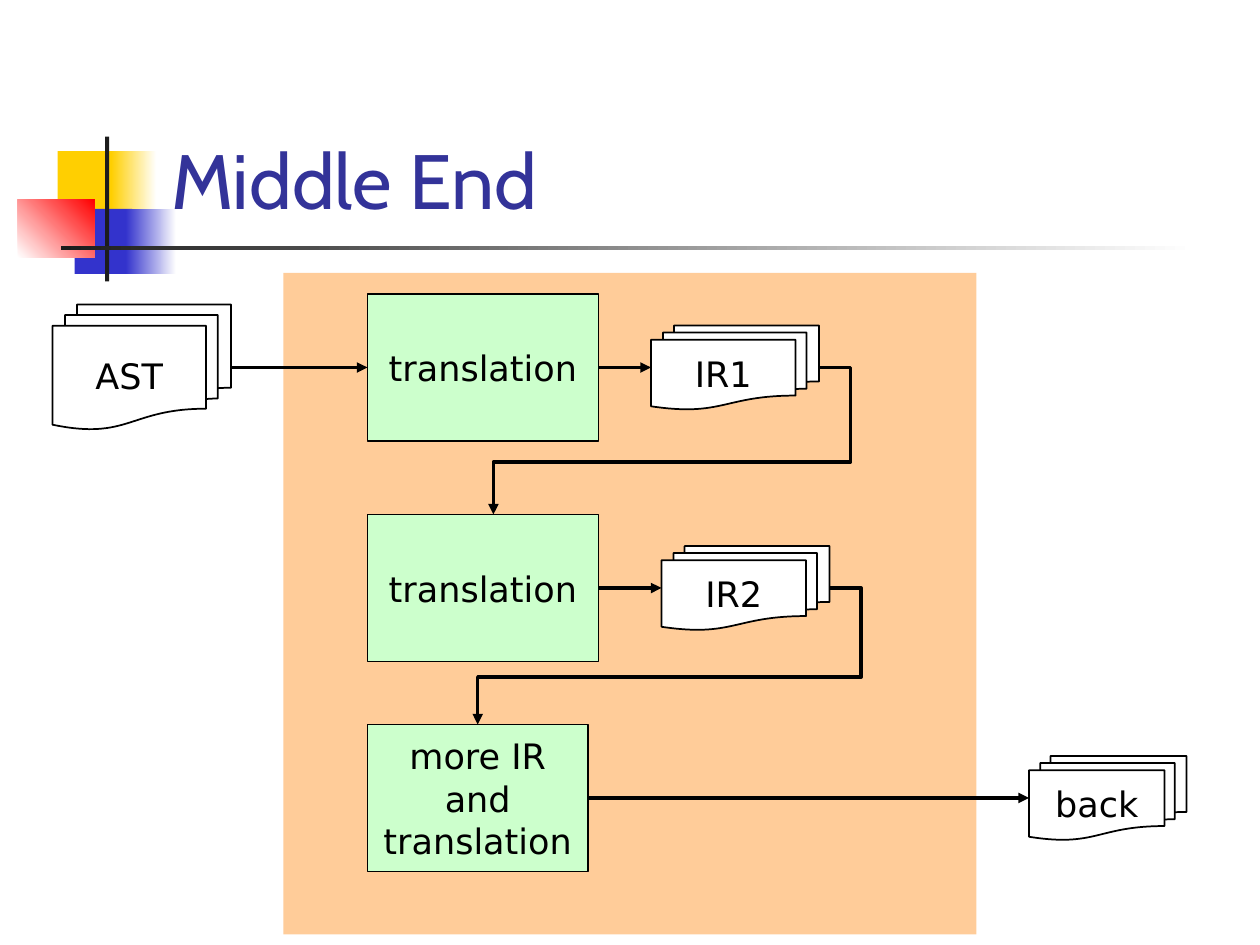
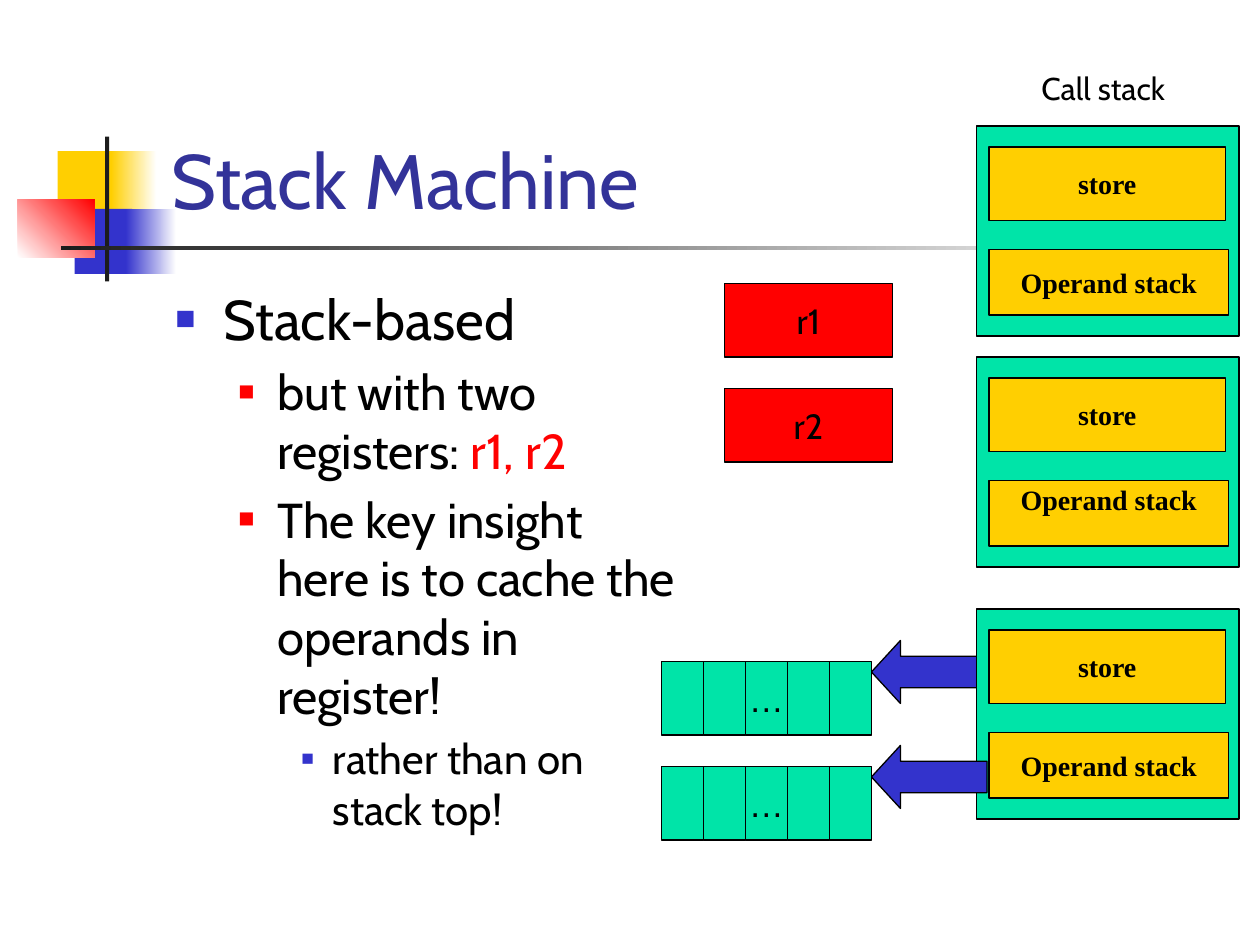
from dataclasses import dataclass

from lxml import etree
from pptx import Presentation
from pptx.dml.color import RGBColor
from pptx.enum.shapes import MSO_CONNECTOR, MSO_SHAPE
from pptx.enum.text import MSO_ANCHOR, MSO_AUTO_SIZE, PP_ALIGN
from pptx.oxml.ns import qn
from pptx.util import Emu, Inches, Pt

RECT = MSO_SHAPE.RECTANGLE
PROCESS = MSO_SHAPE.FLOWCHART_PROCESS
DOCUMENTS = MSO_SHAPE.FLOWCHART_MULTIDOCUMENT
LEFT_ARROW = MSO_SHAPE.LEFT_ARROW
STRAIGHT, ELBOW = MSO_CONNECTOR.STRAIGHT, MSO_CONNECTOR.ELBOW
TOP, MIDDLE, BOTTOM = MSO_ANCHOR.TOP, MSO_ANCHOR.MIDDLE, MSO_ANCHOR.BOTTOM
LEFT, CENTER = PP_ALIGN.LEFT, PP_ALIGN.CENTER
NO_FIT = MSO_AUTO_SIZE.NONE
LEFT_SIDE, RIGHT_SIDE = 1, 3  # connection sites of a rectangle

# The slide is a grid of 120 columns by 90 rows, twelve to the inch
COLUMNS, ROWS = 120, 90
CELL = Inches(10) // COLUMNS


@dataclass(frozen=True)
class Theme:
    title: str = "333399"
    ink: str = "000000"
    rule: str = "1C1C1C"
    paper: str = "FFFFFF"
    gold: str = "FFCF01"
    blue: str = "3333CC"
    red: str = "FF0000"
    peach: str = "FFCC99"
    mint: str = "CCFFCC"
    green: str = "00E4A8"
    heading_font: str = "Cabin"
    diagram_font: str = "DejaVu Sans"
    stack_font: str = "Times New Roman"
    cell_font: str = "Arial"
    title_size: int = 44
    list_sizes: tuple = (32, 28, 24)
    label_size: int = 20
    caption_size: int = 18
    stack_size: int = 16


THEME = Theme()


def grid(*cells):
    return [Emu(round(cell * CELL)) for cell in cells]


def rgb(color):
    return RGBColor.from_string(color)


def set_font(font, name, size, color, bold=False):
    font.name, font.size, font.bold = name, Pt(size), bold
    font.color.rgb = rgb(color)


def add_box(slide, area, fill, kind=RECT, line=0.75):
    """Preset shape on the grid; two fill colours make a gradient."""
    box = slide.shapes.add_shape(kind, *grid(*area))
    box.shadow.inherit = False
    if isinstance(fill, tuple):
        box.fill.gradient()
        for stop, color in zip(box.fill.gradient_stops, fill):
            stop.color.rgb = rgb(color)
    else:
        box.fill.solid()
        box.fill.fore_color.rgb = rgb(fill)
    if line:
        box.line.color.rgb = rgb(THEME.ink)
        box.line.width = Pt(line)
    else:
        box.line.fill.background()
    return box


def add_label(box, text, font, size=THEME.label_size, bold=False, wrap=False):
    frame = box.text_frame
    frame.word_wrap = wrap
    frame.vertical_anchor = MIDDLE
    paragraph = frame.paragraphs[0]
    paragraph.text, paragraph.alignment = text, CENTER
    set_font(paragraph.font, font, size, THEME.ink, bold)


def add_stage(slide, area, text, kind=PROCESS):
    fill = THEME.mint if kind == PROCESS else THEME.paper
    stage = add_box(slide, area, fill, kind, line=1)
    add_label(stage, text, THEME.diagram_font, wrap=True)
    return stage


def add_flow(slide, start, end, kind=STRAIGHT):
    flow = slide.shapes.add_connector(kind, *grid(*start, *end))
    flow.line.color.rgb = rgb(THEME.ink)
    flow.line.width = Pt(2)
    etree.SubElement(flow.line._get_or_add_ln(), qn("a:tailEnd"), type="triangle")
    etree.SubElement(flow.element.spPr, qn("a:effectLst"))
    return flow


def add_return_flow(slide, start, end, turn_column, turn_row):
    """Arrow that leaves to the right, runs back and drops onto the next stage."""
    flow = add_flow(slide, start, end, ELBOW)
    geometry = flow.element.spPr.find(qn("a:prstGeom"))
    geometry.set("prst", "bentConnector4")
    guides = geometry.find(qn("a:avLst"))
    if guides is None:
        guides = etree.SubElement(geometry, qn("a:avLst"))
    shares = ((turn_column - start[0]) / (end[0] - start[0]),
              (turn_row - start[1]) / (end[1] - start[1]))
    for number, share in enumerate(shares, 1):
        etree.SubElement(guides, qn("a:gd"), name=f"adj{number}",
                         fmla=f"val {round(share * 100000)}")


def place(holder, area):
    holder.left, holder.top, holder.width, holder.height = grid(*area)
    holder.text_frame.auto_size = NO_FIT
    holder.text_frame.word_wrap = True


def add_titled_slide(prs, layout, text):
    slide = prs.slides.add_slide(prs.slide_layouts[layout])
    title = slide.shapes.title
    place(title, (15.1, 2.8, 102.2, 19.2))
    title.text_frame.vertical_anchor = BOTTOM
    paragraph = title.text_frame.paragraphs[0]
    paragraph.text, paragraph.alignment = text, LEFT
    set_font(paragraph.font, THEME.heading_font, THEME.title_size, THEME.title)
    return slide


def decorate_master(prs, slide):
    """Draw the shared squares and rules, then move them to the slide master."""
    motif = (
        ((5.5, 14.4, 5.8, 6.2), THEME.gold, 0),
        ((10.6, 14.4, 4.3, 6.2), (THEME.gold, THEME.paper), 0),
        ((7.1, 19.9, 5.5, 6.2), THEME.blue, 0),
        ((12, 19.9, 4.8, 6.2), (THEME.blue, THEME.paper), 0),
        ((1.7, 19, 7.3, 5.5), (THEME.paper, THEME.red), 45),
        ((10, 13, 0.4, 13.8), THEME.rule, 0),
        ((5.8, 23.4, 108, 0.4), (THEME.rule, THEME.paper), 0),
    )
    for number, (area, fill, angle) in enumerate(motif, 100):
        part = add_box(slide, area, fill, line=0)
        if isinstance(fill, tuple):
            part.fill.gradient_angle = angle
        part.element.nvSpPr.cNvPr.set("id", str(number))
        prs.slide_master.shapes.element.append(part.element)


def set_bullet(paragraph, level):
    margin, hanging, color, percent = (
        (0.38, 0.38, THEME.blue, 60),
        (0.81, 0.31, THEME.red, 55),
        (1.25, 0.25, THEME.blue, 50),
    )[level]
    paragraph.level = level
    props = paragraph._p.get_or_add_pPr()
    props.set("marL", str(Inches(margin)))
    props.set("indent", str(-Inches(hanging)))
    bullet_color = etree.SubElement(props, qn("a:buClr"))
    etree.SubElement(bullet_color, qn("a:srgbClr"), val=color)
    etree.SubElement(props, qn("a:buSzPct"), val=str(percent * 1000))
    etree.SubElement(props, qn("a:buFont"), typeface=THEME.cell_font)
    etree.SubElement(props, qn("a:buChar"), char="■")


def fill_list(body, items):
    """Each item is a level, its text and an optional highlighted ending."""
    frame = body.text_frame
    for index, (level, text, highlight) in enumerate(items):
        paragraph = frame.add_paragraph() if index else frame.paragraphs[0]
        set_bullet(paragraph, level)
        size = THEME.list_sizes[level]
        paragraph.space_before = Pt(size * 0.2 if index else 0)
        set_font(paragraph.font, THEME.heading_font, size, THEME.ink)
        paragraph.add_run().text = text
        if highlight:
            ending = paragraph.add_run()
            ending.text = highlight
            ending.font.color.rgb = rgb(THEME.red)


def add_stack_frame(slide, row):
    """One call-stack frame; gives back its operand stack."""
    add_box(slide, (93, row, 25, 20), THEME.green)
    store = add_box(slide, (94.2, row + 2, 22.5, 7), THEME.gold)
    operands = add_box(slide, (94.2, row + 11.75, 22.8, 6.25), THEME.gold)
    for part, text in ((store, "store"), (operands, "Operand stack")):
        add_label(part, text, THEME.stack_font, THEME.stack_size, bold=True)
    return operands


def add_memory(slide, row, count=5):
    for index in range(count):
        cell = add_box(slide, (63 + 4 * index, row, 4, 7), THEME.green)
        if index == count // 2:
            add_label(cell, "…", THEME.cell_font)


def add_memory_arrow(slide, row):
    arrow = add_box(slide, (83, row, 11, 6), THEME.blue, LEFT_ARROW)
    arrow.adjustments[0], arrow.adjustments[1] = 0.5, 0.46


def build_middle_end(prs):
    slide = add_titled_slide(prs, 5, "Middle End")
    decorate_master(prs, slide)
    add_box(slide, (27, 26, 66, 63), THEME.peach, line=0)

    # Stages and the representations between them
    add_stage(slide, (5, 29, 17, 11.9), "AST", DOCUMENTS)
    first = add_stage(slide, (35, 28, 22, 14), "translation")
    second = add_stage(slide, (35, 49, 22, 14), "translation")
    last = add_stage(slide, (35, 69, 21, 14), "more IR and translation")
    add_stage(slide, (62, 31, 16, 8), "IR1", DOCUMENTS)
    add_stage(slide, (63, 52, 16, 8), "IR2", DOCUMENTS)
    add_stage(slide, (98, 72, 15, 8), "back", DOCUMENTS)

    # Flows
    add_flow(slide, (22, 35), (35, 35)).end_connect(first, LEFT_SIDE)
    for stage, start, end in ((first, (57, 35), (62, 35)),
                              (second, (57, 56), (63, 56)),
                              (last, (56, 76), (98, 76))):
        add_flow(slide, start, end).begin_connect(stage, RIGHT_SIDE)
    add_return_flow(slide, (78, 35), (47, 49), 81, 44)
    add_return_flow(slide, (79, 56), (45.5, 69), 82, 64.5)


def build_stack_machine(prs):
    slide = add_titled_slide(prs, 1, "Stack Machine")
    body = slide.placeholders[1]
    place(body, (15.5, 26.5, 50.5, 54))
    fill_list(body, (
        (0, "Stack-based", ""),
        (1, "but with two registers: ", "r1, r2"),
        (1, "The key insight here is to cache the operands in register!", ""),
        (2, "rather than on stack top!", ""),
    ))

    # Registers
    for row, name in ((27, "r1"), (37, "r2")):
        register = add_box(slide, (69, row, 16, 7), THEME.red)
        add_label(register, name, THEME.heading_font)

    # Call stack, with the memory of its lowest frame
    caption = slide.shapes.add_textbox(*grid(98, 6, 18, 4.8))
    caption.text_frame.word_wrap = True
    paragraph = caption.text_frame.paragraphs[0]
    paragraph.text = "Call stack"
    set_font(paragraph.font, THEME.heading_font, THEME.caption_size, THEME.ink)
    add_memory_arrow(slide, 61)
    add_stack_frame(slide, 12)
    middle_operands = add_stack_frame(slide, 34).text_frame
    middle_operands.vertical_anchor = TOP
    middle_operands.margin_top = Inches(0.02)
    add_stack_frame(slide, 58)
    add_memory_arrow(slide, 71)
    for row in (63, 73):
        add_memory(slide, row)


def main():
    prs = Presentation()
    prs.slide_width, prs.slide_height = grid(COLUMNS, ROWS)
    build_middle_end(prs)
    build_stack_machine(prs)
    prs.save("out.pptx")


if __name__ == "__main__":
    main()
